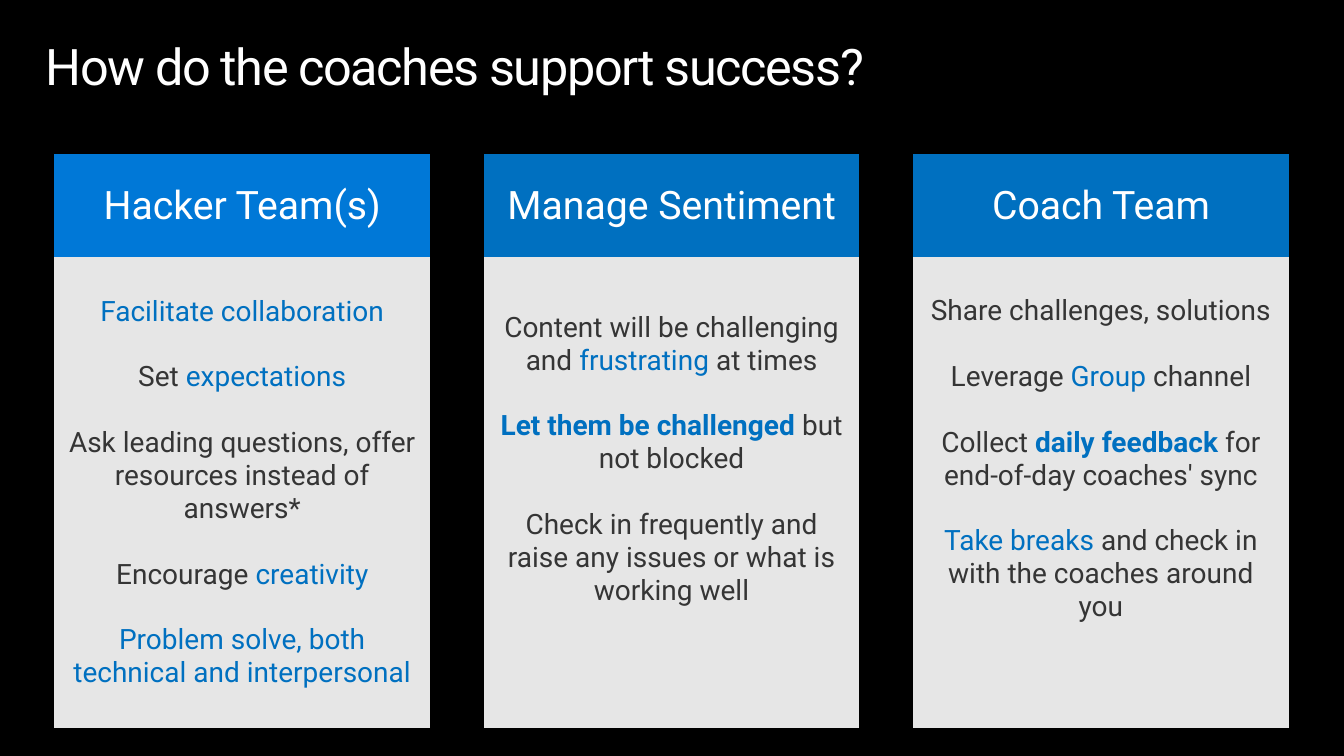
"""Build the slide on how coaches support success."""
from dataclasses import dataclass

from pptx import Presentation
from pptx.dml.color import RGBColor as RGB
from pptx.enum.text import MSO_ANCHOR as ANCHOR, PP_ALIGN as ALIGN
from pptx.oxml.ns import qn
from pptx.util import Cm, Pt


@dataclass(frozen=True)
class Theme:
    font: str = "Roboto"
    black: RGB = RGB(0x00, 0x00, 0x00)
    white: RGB = RGB(0xFF, 0xFF, 0xFF)
    dark: RGB = RGB(0x35, 0x35, 0x35)
    blue: RGB = RGB(0x00, 0x70, 0xC0)
    bright: RGB = RGB(0x00, 0x78, 0xD7)
    panel: RGB = RGB(0xE6, 0xE6, 0xE6)
    title: Pt = Pt(36)
    heading: Pt = Pt(28)
    body: Pt = Pt(20)
    gap: Pt = Pt(23.4)


T = Theme()
PLAIN, BLUE, BOLD = (T.dark, False), (T.blue, False), (T.blue, True)
NO_TABLE_STYLE = "{2D5ABB26-0587-4C30-8999-92F81FD0307C}"

COLUMNS = [
    ("Hacker Team(s)", T.bright, Cm(0.13), [
        [("Facilitate collaboration", BLUE)],
        [("Set ", PLAIN), ("expectations", BLUE)],
        [("Ask leading questions, offer resources instead of answers*", PLAIN)],
        [("Encourage ", PLAIN), ("creativity", BLUE)],
        [("Problem solve, both technical and interpersonal", BLUE)],
    ]),
    ("Manage Sentiment", T.blue, Cm(1.8), [
        [("Content will be challenging and ", PLAIN), ("frustrating", BLUE),
         (" at times", PLAIN)],
        [("Let them be challenged ", BOLD), ("but not blocked", PLAIN)],
        [("Check in frequently and raise any issues or what is working well", PLAIN)],
    ]),
    ("Coach Team", T.blue, Cm(1.8), [
        [("Share challenges, solutions", PLAIN)],
        [("Leverage ", PLAIN), ("Group", BLUE), (" channel", PLAIN)],
        [("Collect ", PLAIN), ("daily feedback", BOLD),
         (" for end-of-day coaches' sync", PLAIN)],
        [("Take breaks ", BLUE), ("and check in with the coaches around you", PLAIN)],
    ]),
]


def add_run(p, text, size, color, bold=False):
    r = p.add_run()
    r.text = text
    r.font.name, r.font.size, r.font.bold = T.font, size, bold
    r.font.color.rgb = color
    return r


def fill_cell(cell, color):
    cell.fill.solid()
    cell.fill.fore_color.rgb = color
    cell.vertical_anchor = ANCHOR.MIDDLE


prs = Presentation()
prs.slide_width, prs.slide_height = Cm(33.87), Cm(19.05)
slide = prs.slides.add_slide(prs.slide_layouts[5])
slide.background.fill.solid()
slide.background.fill.fore_color.rgb = T.black

title = slide.shapes.title
title.left, title.top, title.width, title.height = Cm(0.74), Cm(0.81), Cm(32.39), Cm(1.88)
tf = title.text_frame
tf.word_wrap = True
tf.vertical_anchor = ANCHOR.TOP
tf.margin_left = tf.margin_right = Cm(0.41)
tf.margin_top = tf.margin_bottom = Cm(0.25)
p = tf.paragraphs[0]
p.alignment, p.line_spacing = ALIGN.LEFT, 0.9
r = add_run(p, "How do the coaches support success?", T.title, T.white)
r.font._element.set("spc", "-100")

col_w, gap_w = Cm(9.47), Cm(1.35)
head_h, body_h = Cm(2.59), Cm(11.86)
frame = slide.shapes.add_table(2, 5, Cm(1.37), Cm(3.89),
                               3 * col_w + 2 * gap_w, head_h + body_h)
for style in frame.element.iter(qn("a:tableStyleId")):
    style.text = NO_TABLE_STYLE
table = frame.table
table.first_row = table.horz_banding = False
table.rows[0].height, table.rows[1].height = head_h, body_h
for i, column in enumerate(table.columns):
    column.width = gap_w if i % 2 else col_w
for cell in table.iter_cells():
    cell.fill.background()

for i, (heading, color, bottom, points) in enumerate(COLUMNS):
    head, body = table.cell(0, 2 * i), table.cell(1, 2 * i)
    fill_cell(head, color)
    p = head.text_frame.paragraphs[0]
    p.alignment = ALIGN.CENTER
    add_run(p, heading, T.heading, T.white)

    fill_cell(body, T.panel)
    body.margin_bottom = bottom
    tf = body.text_frame
    for j, runs in enumerate(points):
        p = tf.add_paragraph() if j else tf.paragraphs[0]
        p.alignment = ALIGN.CENTER
        if j:
            p.space_before = T.gap
        for text, (ink, bold) in runs:
            add_run(p, text, T.body, ink, bold)

prs.save("out.pptx")
